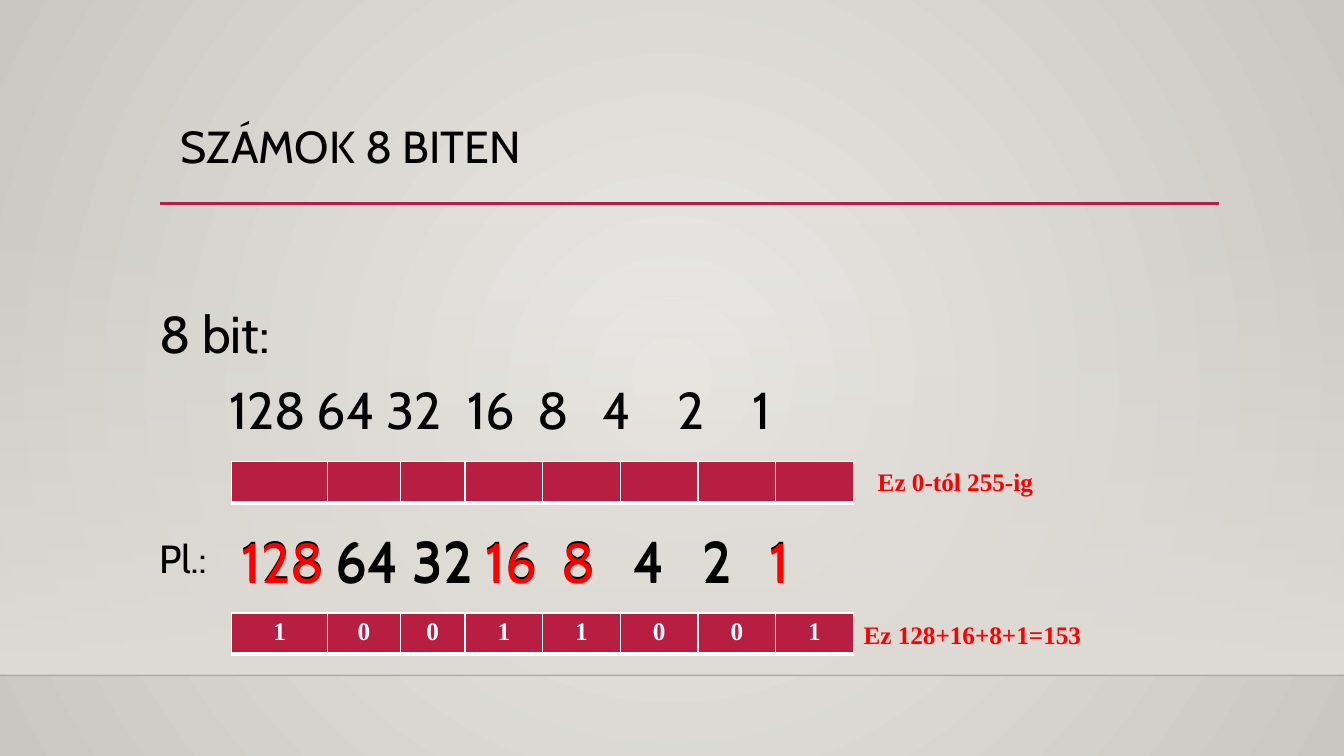
from lxml import etree
from pptx import Presentation
from pptx.dml.color import RGBColor
from pptx.enum.shapes import MSO_CONNECTOR, MSO_SHAPE
from pptx.enum.text import MSO_ANCHOR, PP_ALIGN
from pptx.oxml import parse_xml
from pptx.oxml.ns import nsdecls, qn
from pptx.util import Pt

COLORS = {
    "center": "ECEAE7", "edge": "CAC7C1", "floor": "DFDBD5", "floor_line": "000001",
    "accent": "B71E42", "black": "000000", "red": "FF0000", "white": "FFFFFF",
}
HEADING_FONT, NOTE_FONT = "Cabin", "Times New Roman"
WIDTH, HEIGHT = 960, 540
PLACE_VALUES = [2 ** power for power in range(7, -1, -1)]
BIT_WIDTHS = [68.4, 51.8, 46.4] + [55.5] * 5
EXAMPLE_BITS = "10011001"
BODY_TABS = [50, 112.5, 162.5, 220, 270, 317, 370.5, 424]
EXAMPLE_TABS = [67, 122, 174, 228.5, 279.5, 329, 377]


def rgb(name):
    return RGBColor.from_string(COLORS[name])


def gradient(first, last, shading, first_alpha=100):
    return parse_xml(
        f'<a:gradFill {nsdecls("a")} rotWithShape="1"><a:gsLst>'
        f'<a:gs pos="0"><a:srgbClr val="{COLORS[first]}"><a:alpha val="{first_alpha * 1000}"/>'
        f'</a:srgbClr></a:gs><a:gs pos="100000"><a:srgbClr val="{COLORS[last]}"/></a:gs>'
        f'</a:gsLst>{shading}</a:gradFill>')


def add_line(slide, left, right, y, color, width, alpha=100):
    line = slide.shapes.add_connector(
        MSO_CONNECTOR.STRAIGHT, Pt(left), Pt(y), Pt(right), Pt(y))
    line.line.color.rgb = rgb(color)
    line.line.width = Pt(width)
    if alpha < 100:
        tint = next(line.line._ln.iter(qn("a:srgbClr")))
        etree.SubElement(tint, qn("a:alpha"), val=str(alpha * 1000))
    etree.SubElement(line._element.spPr, qn("a:effectLst"))


def add_run(paragraph, text, size, color="black", font=HEADING_FONT, bold=False):
    run = paragraph.add_run()
    run.text = text
    run.font.size = Pt(size)
    run.font.name = font
    run.font.bold = bold
    run.font.color.rgb = rgb(color)


def add_box(slide, left, top, width, height, anchor=MSO_ANCHOR.TOP):
    """Add an empty wrapping text box and return its frame."""
    frame = slide.shapes.add_textbox(Pt(left), Pt(top), Pt(width), Pt(height)).text_frame
    frame.word_wrap = True
    frame.vertical_anchor = anchor
    return frame


def set_tabs(paragraph, positions):
    tabs = etree.SubElement(paragraph._p.get_or_add_pPr(), qn("a:tabLst"))
    for position in positions:
        etree.SubElement(tabs, qn("a:tab"), pos=str(Pt(position)), algn="l")


def draw_backdrop(slide):
    background = slide.background.fill
    background.solid()
    properties = next(slide._element.iter(qn("p:bgPr")))
    properties.replace(properties[0], gradient(
        "center", "edge",
        '<a:path path="circle"><a:fillToRect l="50000" t="50000" r="50000" b="50000"/></a:path>'))

    floor_top, floor_bottom = 159, 482.4
    floor = slide.shapes.add_shape(
        MSO_SHAPE.RECTANGLE, 0, Pt(floor_top), Pt(WIDTH), Pt(floor_bottom - floor_top))
    floor.shadow.inherit = False
    floor.line.fill.background()
    floor.fill.solid()
    solid = floor._element.spPr.find(qn("a:solidFill"))
    floor._element.spPr.replace(
        solid, gradient("floor", "floor", '<a:lin ang="5400000" scaled="0"/>', first_alpha=0))
    add_line(slide, 0, WIDTH, floor_bottom, "floor_line", 1, alpha=20)


def draw_title(slide, left, top, width, height):
    title = add_box(slide, left, top, width, height, MSO_ANCHOR.MIDDLE).paragraphs[0]
    title.line_spacing = 0.9
    add_run(title, "SZÁMOK 8 BITEN", 32)
    add_line(slide, 114.4, 871, top + 61, "accent", 2.5)


def draw_body(slide, left, top, width, height):
    frame = add_box(slide, left, top, width, height)
    add_run(frame.paragraphs[0], "8 bit:", 37)
    values = frame.add_paragraph()
    values.space_before = Pt(10)
    set_tabs(values, BODY_TABS)
    add_run(values, "".join(f"\t{value}" for value in PLACE_VALUES), 37)


def draw_example_values(slide, left, top, width, height, set_color):
    """Write the place values, with those of the set bits in set_color."""
    values = add_box(slide, left, top, width, height).paragraphs[0]
    set_tabs(values, EXAMPLE_TABS)
    for index, (value, bit) in enumerate(zip(PLACE_VALUES, EXAMPLE_BITS)):
        tab = "\t" if index else ""
        add_run(values, f"{tab}{value}", 40, set_color if bit == "1" else "black")


def style_bit_cell(cell):
    properties = cell._tc.get_or_add_tcPr()
    for side, width in (("L", 1), ("R", 1), ("T", 1), ("B", 3)):
        properties.append(parse_xml(
            f'<a:ln{side} {nsdecls("a")} w="{Pt(width)}"><a:solidFill>'
            f'<a:srgbClr val="{COLORS["white"]}"/></a:solidFill></a:ln{side}>'))
    cell.fill.solid()
    cell.fill.fore_color.rgb = rgb("accent")


def draw_bits(slide, left, top, height, bits=""):
    table = slide.shapes.add_table(
        1, len(BIT_WIDTHS), Pt(left), Pt(top), Pt(sum(BIT_WIDTHS)), Pt(height)).table
    table.rows[0].height = Pt(height)
    for index, width in enumerate(BIT_WIDTHS):
        table.columns[index].width = Pt(width)
        style_bit_cell(table.cell(0, index))
    for index, bit in enumerate(bits):
        digit = table.cell(0, index).text_frame.paragraphs[0]
        digit.alignment = PP_ALIGN.CENTER
        add_run(digit, bit, 18, "white", NOTE_FONT, bold=True)


def draw_note(slide, left, top, width, height, text):
    note = add_box(slide, left, top, width, height).paragraphs[0]
    add_run(note, text, 18, "red", NOTE_FONT, bold=True)


def main():
    presentation = Presentation()
    presentation.slide_width, presentation.slide_height = Pt(WIDTH), Pt(HEIGHT)
    slide = presentation.slides.add_slide(presentation.slide_layouts[6])
    bits_left, bits_width, bits_height = 165.6, sum(BIT_WIDTHS), 29.5

    draw_backdrop(slide)
    draw_title(slide, 121.7, 84.2, 608.4, 44.6)
    draw_example_values(slide, bits_left, 372.2, bits_width, 55.4, "black")
    draw_body(slide, 106.6, 211.7, 722.9, 113)
    draw_bits(slide, bits_left, 329.8, bits_height)
    add_run(add_box(slide, 106.6, 378, 190.8, 41).paragraphs[0], "Pl.:", 28)
    draw_bits(slide, bits_left, 437.8, bits_height, EXAMPLE_BITS)
    draw_example_values(slide, bits_left, 373, bits_width, 55.4, "red")
    draw_note(slide, 619.9, 329.8, 163.4, 28.8, "Ez 0-tól 255-ig")
    draw_note(slide, 609.8, 438.5, 196.6, 28.8, "Ez 128+16+8+1=153")
    presentation.save("out.pptx")


if __name__ == "__main__":
    main()
